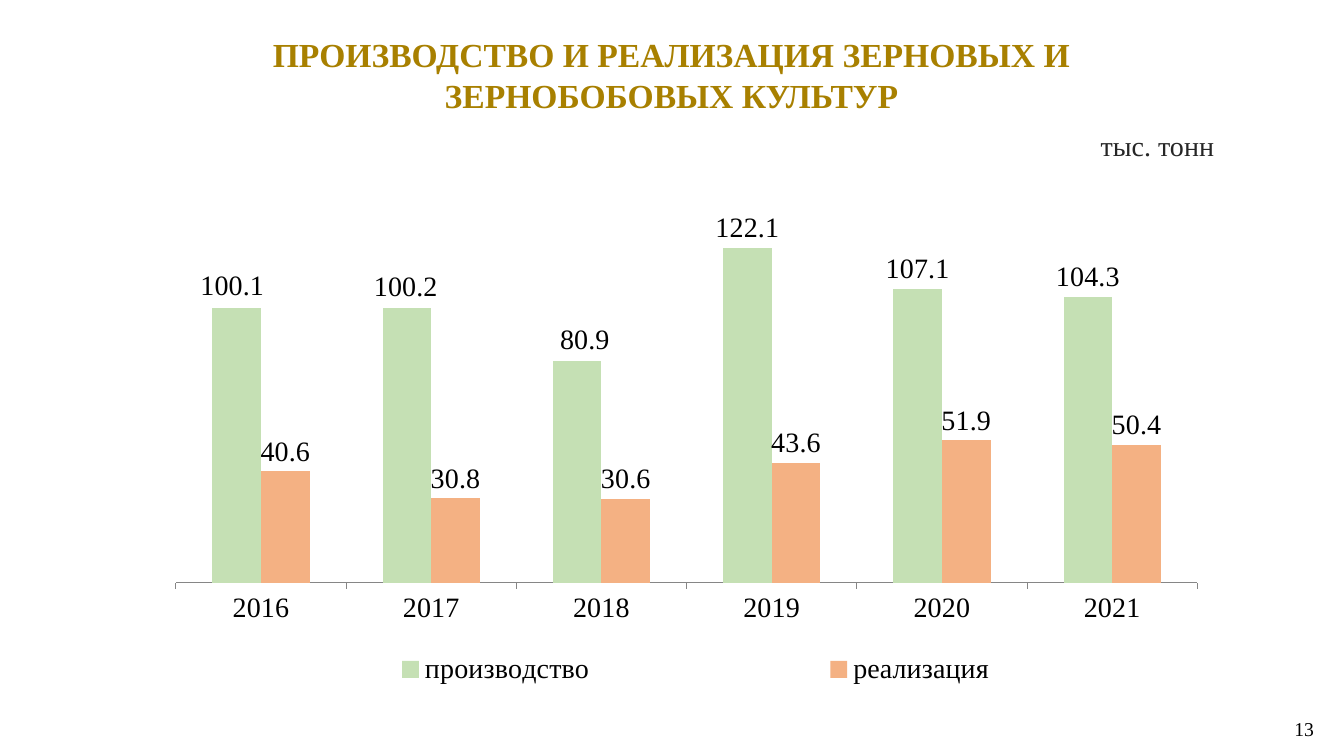
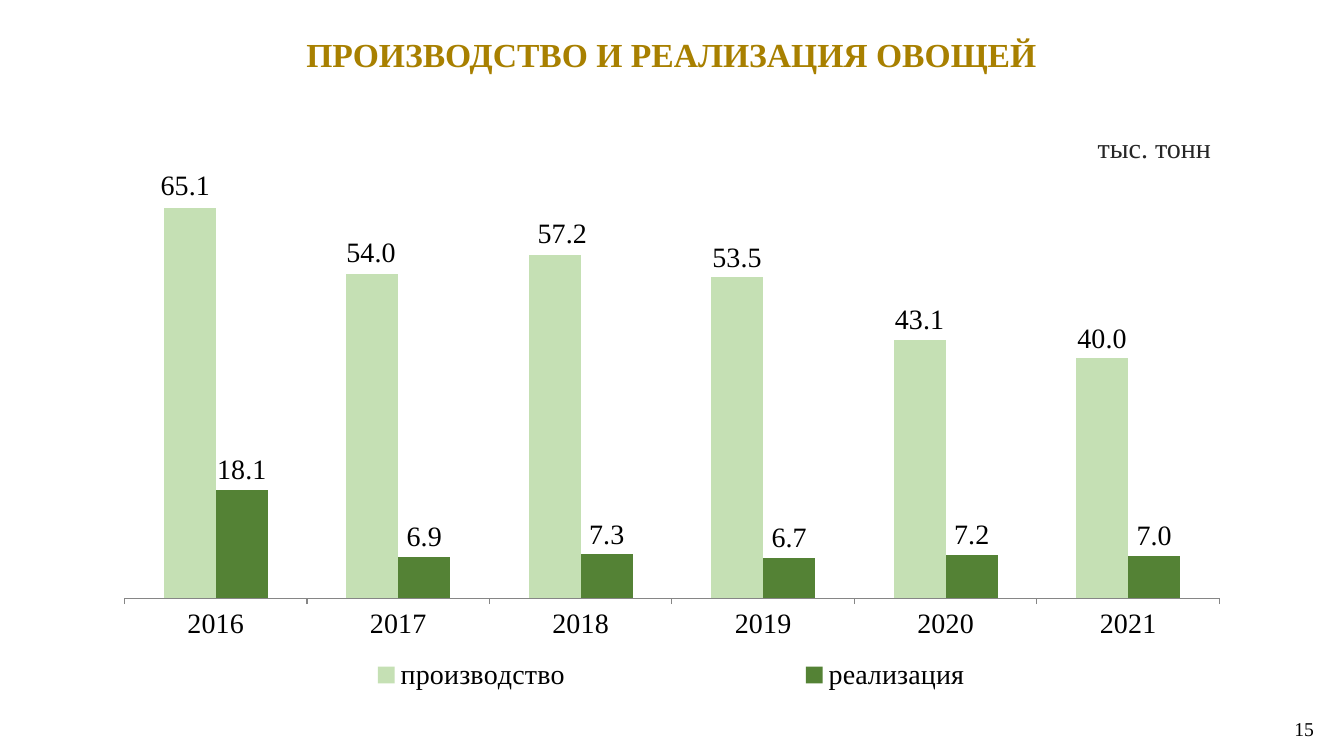
"""Build two slides comparing crop production and sales by year."""

from dataclasses import dataclass

from lxml.etree import SubElement
from pptx import Presentation
from pptx.chart.chart import Chart
from pptx.chart.data import CategoryChartData
from pptx.chart.series import BarSeries
from pptx.dml.color import RGBColor
from pptx.enum.chart import XL_CHART_TYPE, XL_LABEL_POSITION, XL_LEGEND_POSITION, XL_TICK_MARK
from pptx.enum.text import MSO_ANCHOR, MSO_AUTO_SIZE, PP_ALIGN
from pptx.oxml.ns import qn
from pptx.oxml.xmlchemy import BaseOxmlElement
from pptx.presentation import Presentation as Deck
from pptx.slide import Slide
from pptx.text.text import Font, TextFrame
from pptx.util import Inches, Pt

FONT_NAME = "Times New Roman"
COLORS = {
    "title": "A88000",
    "text": "000000",
    "unit": "262626",
    "axis": "868686",
    "production": "C5E0B4",
    "grain_sales": "F4B183",
    "vegetable_sales": "548235",
}
YEARS = ["2016", "2017", "2018", "2019", "2020", "2021"]
NUMBER_FORMAT = "#,##0.0"
LABEL_SHIFTS = [(-0.004, -0.004), (-0.001, -0.003), (0.007, -0.002)]


@dataclass(frozen=True)
class Area:
    left: float
    top: float
    width: float
    height: float

    def lengths(self) -> tuple[int, int, int, int]:
        return Inches(self.left), Inches(self.top), Inches(self.width), Inches(self.height)


@dataclass(frozen=True)
class CropPage:
    title: str
    title_height: float
    number: str
    unit_area: Area
    chart_area: Area
    plot_area: Area
    legend_area: Area
    axis_maximum: int
    production: list[float]
    sales: list[float]
    sales_color: str


PAGES = [
    CropPage(
        title="ПРОИЗВОДСТВО И РЕАЛИЗАЦИЯ ЗЕРНОВЫХ И ЗЕРНОБОБОВЫХ КУЛЬТУР",
        title_height=0.91,
        number="13",
        unit_area=Area(10.6, 1.23, 1.54, 0.44),
        chart_area=Area(1.31, 1.7, 10.87, 5.43),
        plot_area=Area(0.04, 0, 0.932, 0.752),
        legend_area=Area(0.035, 0.86, 0.965, 0.1),
        axis_maximum=150,
        production=[100.1, 100.2, 80.9, 122.1, 107.1, 104.3],
        sales=[40.6, 30.8, 30.6, 43.6, 51.9, 50.4],
        sales_color="grain_sales",
    ),
    CropPage(
        title="ПРОИЗВОДСТВО И РЕАЛИЗАЦИЯ ОВОЩЕЙ",
        title_height=0.5,
        number="15",
        unit_area=Area(10.57, 1.25, 1.54, 0.44),
        chart_area=Area(1.23, 1.69, 10.87, 5.27),
        plot_area=Area(0, 0.013, 1, 0.792),
        legend_area=Area(0.02, 0.9, 0.965, 0.1),
        axis_maximum=70,
        production=[65.1, 54, 57.2, 53.5, 43.1, 40],
        sales=[18.1, 6.9, 7.3, 6.7, 7.2, 7],
        sales_color="vegetable_sales",
    ),
]


def color(name: str) -> RGBColor:
    return RGBColor.from_string(COLORS[name])


def format_font(font: Font, size: float, color_name: str = "text", bold: bool = False) -> None:
    font.name = FONT_NAME
    font.size = Pt(size)
    font.bold = bold
    font.color.rgb = color(color_name)


def write_text(
    frame: TextFrame,
    text: str,
    *,
    size: float,
    color_name: str = "text",
    bold: bool = False,
    align: PP_ALIGN = PP_ALIGN.LEFT,
) -> None:
    frame.word_wrap = True
    frame.auto_size = MSO_AUTO_SIZE.SHAPE_TO_FIT_TEXT
    frame.vertical_anchor = MSO_ANCHOR.TOP
    para = frame.paragraphs[0]
    para.alignment = align
    span = para.add_run()
    span.text = text
    format_font(span.font, size, color_name, bold)


def set_layout(parent: BaseOxmlElement, index: int, settings: dict[str, str | float]) -> None:
    for old_layout in parent.findall(qn("c:layout")):
        parent.remove(old_layout)
    layout = SubElement(parent, qn("c:layout"))
    parent.insert(index, layout)
    manual = SubElement(layout, qn("c:manualLayout"))
    for name, value in settings.items():
        SubElement(manual, qn(f"c:{name}")).set("val", str(value))


def edge_settings(area: Area) -> dict[str, str | float]:
    return {
        "xMode": "edge",
        "yMode": "edge",
        "x": area.left,
        "y": area.top,
        "w": area.width,
        "h": area.height,
    }


def format_series(series: BarSeries, color_name: str) -> None:
    series.format.fill.solid()
    series.format.fill.fore_color.rgb = color(color_name)
    labels = series.data_labels
    labels.show_value = True
    labels.position = XL_LABEL_POSITION.OUTSIDE_END
    labels.number_format = NUMBER_FORMAT
    labels.number_format_is_linked = False
    format_font(labels.font, 20)


def shift_labels(series: BarSeries) -> None:
    for index, (across, down) in enumerate(LABEL_SHIFTS):
        label = series.points[index].data_label
        format_font(label.font, 20)
        label.position = XL_LABEL_POSITION.OUTSIDE_END
        element = series.data_labels._element.findall(qn("c:dLbl"))[index]
        set_layout(element, 1, {"x": across, "y": down})
        number_format = SubElement(element, qn("c:numFmt"))
        number_format.set("formatCode", NUMBER_FORMAT)
        number_format.set("sourceLinked", "0")
        element.insert(2, number_format)


def format_axes(chart: Chart, maximum: int) -> None:
    years = chart.category_axis
    years.major_tick_mark = XL_TICK_MARK.OUTSIDE
    years.minor_tick_mark = XL_TICK_MARK.NONE
    years.format.line.color.rgb = color("axis")
    years.format.line.width = Pt(0.75)
    format_font(years.tick_labels.font, 20)
    values = chart.value_axis
    values.minimum_scale = 0
    values.maximum_scale = maximum
    values.has_major_gridlines = False
    values.visible = False


def add_crop_chart(slide: Slide, page: CropPage) -> None:
    data = CategoryChartData(number_format=NUMBER_FORMAT)
    data.categories = YEARS
    data.add_series("производство", page.production)
    data.add_series("реализация ", page.sales)
    frame = slide.shapes.add_chart(XL_CHART_TYPE.COLUMN_CLUSTERED, *page.chart_area.lengths(), data)
    chart = frame.chart
    chart.has_title = False
    format_font(chart.font, 20)
    format_axes(chart, page.axis_maximum)

    plot = chart.plots[0]
    plot.gap_width = 150
    plot.overlap = 0
    plot.vary_by_categories = False
    for series, color_name in zip(plot.series, ("production", page.sales_color)):
        format_series(series, color_name)
    shift_labels(plot.series[0])

    chart.has_legend = True
    legend = chart.legend
    legend.position = XL_LEGEND_POSITION.BOTTOM
    legend.include_in_layout = False
    format_font(legend.font, 20)
    set_layout(legend._element, 1, edge_settings(page.legend_area))
    plot_element = chart._chartSpace.chart.plotArea
    set_layout(plot_element, 0, {"layoutTarget": "inner"} | edge_settings(page.plot_area))


def add_page(deck: Deck, page: CropPage) -> None:
    slide = deck.slides.add_slide(deck.slide_layouts[5])
    title = slide.shapes.title
    title.left, title.top, title.width, title.height = Area(1.15, 0.29, 11.02, page.title_height).lengths()
    write_text(
        title.text_frame, page.title, size=24, color_name="title", bold=True, align=PP_ALIGN.CENTER
    )
    number_box = slide.shapes.add_textbox(*Area(12.74, 7.06, 0.46, 0.34).lengths())
    write_text(number_box.text_frame, page.number, size=14)
    add_crop_chart(slide, page)
    unit_box = slide.shapes.add_textbox(*page.unit_area.lengths())
    write_text(
        unit_box.text_frame, "тыс. тонн", size=20, color_name="unit", align=PP_ALIGN.RIGHT
    )


def main() -> None:
    deck = Presentation()
    deck.slide_width = Inches(13.33)
    deck.slide_height = Inches(7.5)
    for page in PAGES:
        add_page(deck, page)
    deck.save("out.pptx")


if __name__ == "__main__":
    main()
